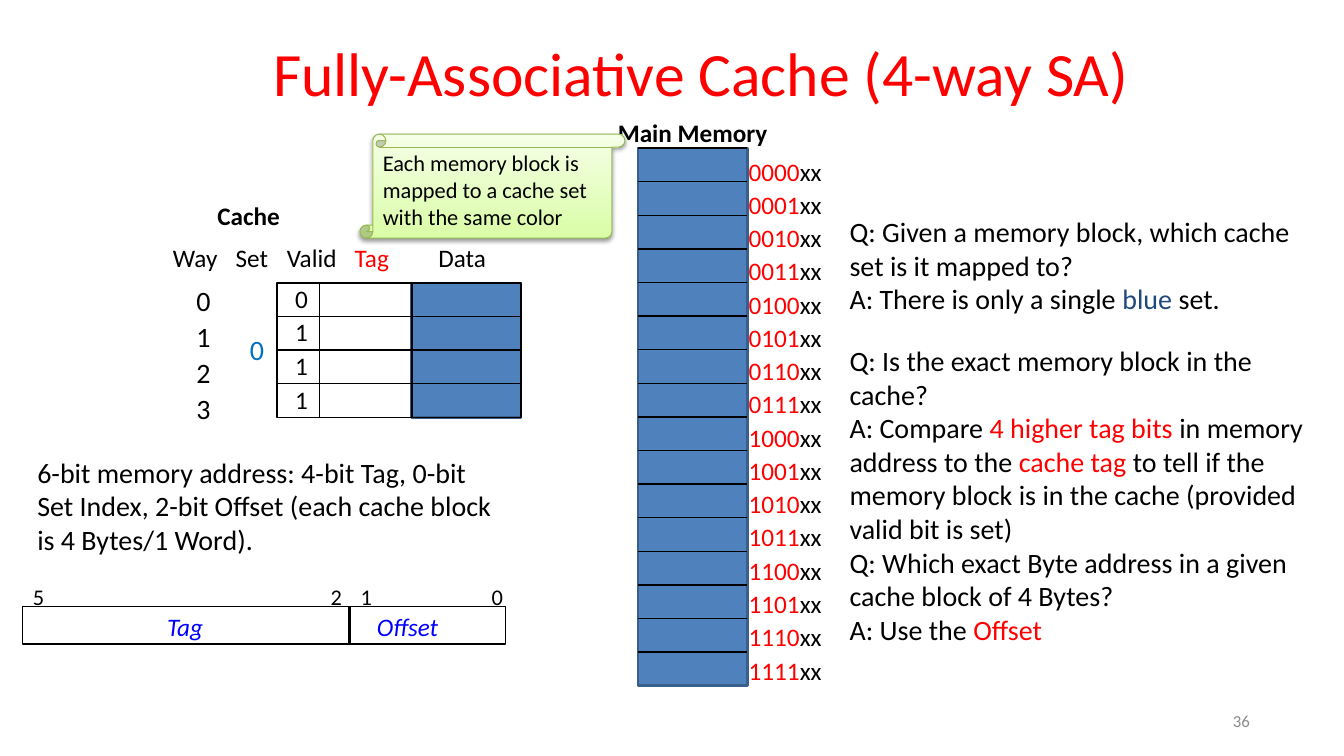
"""Build the fully-associative cache slide."""
from dataclasses import dataclass
from lxml.etree import SubElement
from pptx import Presentation
from pptx.dml.color import RGBColor
from pptx.enum.shapes import MSO_CONNECTOR, MSO_SHAPE
from pptx.enum.text import MSO_ANCHOR, MSO_AUTO_SIZE, PP_ALIGN
from pptx.oxml.ns import qn
from pptx.util import Cm, Pt


@dataclass(frozen=True)
class Theme:
    font: str = "Calibri"
    black: str = "000000"
    red: str = "FF0000"
    navy: str = "1F497D"
    sky: str = "0070C0"
    blue: str = "0000FF"
    gray: str = "8C8C8C"
    block: str = "4F81BD"
    block_edge: str = "3A5F8C"
    note_dark: str = "DAFDA7"
    note_light: str = "F5FFE7"
    note_edge: str = "98B955"
    title: int = 44
    body: int = 20
    label: int = 18
    small: int = 16
    number: int = 12


T = Theme()

TITLE = "Fully-Associative Cache (4-way SA)"
NOTE = "Each memory block is mapped to a cache set with the same color"
ADDRESS = [["6-bit memory address: 4-bit Tag, 0-bit Set Index, 2-bit Offset "
            "(each cache block is 4 Bytes/1 Word)."]]
SET_QUESTION = [
    ["Q: Given a memory block, which cache set is it mapped to?"],
    ["A: There is only a single ", ("blue", T.navy), " set."],
]
BLOCK_QUESTIONS = [
    ["Q: Is the exact memory block in the cache?"],
    ["A: Compare ", ("4 higher tag bits ", T.red), "in memory address to the ",
     ("cache tag ", T.red),
     "to tell if the memory block is in the cache (provided valid bit is set)"],
    ["Q: Which exact Byte address in a given cache block of 4 Bytes?"],
    ["A: Use the ", ("Offset", T.red)],
]
PARAGRAPHS = [
    (0.69, 11.35, 12.09, 2.82, ADDRESS),
    (21.16, 5.28, 12.5, 2.82, SET_QUESTION),
    (21.16, 8.53, 12.09, 7.95, BLOCK_QUESTIONS),
]
HEADINGS = [("Main Memory", 15.32, 2.84, 4.32), ("Cache", 5.23, 4.93, 2.11)]
COLUMN_LABELS = [
    ("Way", 4.11, 1.65, T.black), ("Set", 5.69, 1.35, T.black),
    ("Valid", 6.98, 1.78, T.black), ("Tag", 8.69, 1.37, T.red),
    ("Data", 10.8, 1.73, T.black),
]
VALID_BITS = "0111"
BIT_NUMBERS = [("5", 0.58), ("2", 8.08), ("1", 8.84), ("0", 12.14)]
FIELDS = [("Tag", 3.96, 1.42), ("Offset", 9.25, 2.08)]

BLOCKS, WAYS = 16, 4
MEM_X, MEM_Y, MEM_H, DATA_W = 16.08, 3.73, 13.55, 2.75
ROW = MEM_H / BLOCKS
CACHE_X, CACHE_Y = 6.98, 7.13
CACHE_COLUMNS = [1.07, 2.33, DATA_W]
BAR_X, BAR_Y, BAR_W, BAR_H, DIVIDER_X = 0.58, 15.29, 12.17, 0.94, 8.81

prs = Presentation()
prs.slide_width, prs.slide_height = Cm(33.87), Cm(19.05)
s = prs.slides.add_slide(prs.slide_layouts[5])


def style(font, size, color, bold=False, italic=False):
    font.name, font.size = T.font, Pt(size)
    font.bold, font.italic = bold, italic
    font.color.rgb = RGBColor.from_string(color)


def text(x, y, w, h, paragraphs, size, color=T.black, wrap=False, spacing=None,
         **emphasis):
    tf = s.shapes.add_textbox(Cm(x), Cm(y), Cm(w), Cm(h)).text_frame
    tf.word_wrap = wrap
    tf.auto_size = MSO_AUTO_SIZE.SHAPE_TO_FIT_TEXT
    for i, parts in enumerate(paragraphs):
        p = tf.add_paragraph() if i else tf.paragraphs[0]
        p.line_spacing = spacing
        for part in parts:
            words, hue = (part, color) if isinstance(part, str) else part
            r = p.add_run()
            r.text = words
            style(r.font, size, hue, **emphasis)
    return tf


def box(x, y, w, h, width, edge=T.black, fill=None, kind=MSO_SHAPE.RECTANGLE):
    sp = s.shapes.add_shape(kind, Cm(x), Cm(y), Cm(w), Cm(h))
    sp.shadow.inherit = False
    sp.line.color.rgb = RGBColor.from_string(edge)
    sp.line.width = Pt(width)
    if fill:
        sp.fill.solid()
        sp.fill.fore_color.rgb = RGBColor.from_string(fill)
    else:
        sp.fill.background()
    return sp


def line(x1, y1, x2, y2, width=1):
    ln = s.shapes.add_connector(MSO_CONNECTOR.STRAIGHT,
                                Cm(x1), Cm(y1), Cm(x2), Cm(y2))
    ln.line.color.rgb = RGBColor.from_string(T.black)
    ln.line.width = Pt(width)
    SubElement(ln._element.spPr, qn("a:effectLst"))


def row_lines(x, y, w, rows):
    for i in rows:
        line(x, y + i * ROW, x + w, y + i * ROW)


def add_title():
    sp = s.shapes.title
    sp.left, sp.top, sp.width, sp.height = Cm(5.51), Cm(0.76), Cm(24.33), Cm(2.41)
    tf = sp.text_frame
    tf.text = TITLE
    tf.vertical_anchor = MSO_ANCHOR.MIDDLE
    p = tf.paragraphs[0]
    p.alignment, p.line_spacing = PP_ALIGN.CENTER, 0.85
    style(p.runs[0].font, T.title, T.red)


def add_memory():
    box(MEM_X, MEM_Y, DATA_W, MEM_H, 2, T.block_edge, T.block)
    row_lines(MEM_X, MEM_Y, DATA_W, range(BLOCKS))
    addresses = [[(f"{i:04b}", T.red), "xx"] for i in range(BLOCKS)]
    text(18.62, MEM_Y, 2.74, 13.79, addresses, T.label, wrap=True, spacing=1.1)


def add_cache():
    x, h = CACHE_X, WAYS * ROW
    box(CACHE_X + sum(CACHE_COLUMNS[:2]), CACHE_Y, DATA_W, h, 2,
        T.block_edge, T.block)
    for w in CACHE_COLUMNS:
        box(x, CACHE_Y, w, h, 1)
        row_lines(x, CACHE_Y, w, range(1, WAYS))
        x += w
    for name, left, w, color in COLUMN_LABELS:
        text(left, 5.97, w, 1.02, [[name]], T.label, color)
    for way, bit in enumerate(VALID_BITS):
        text(4.7, 7.01 + way * 0.91, 0.86, 1.12, [[str(way)]], T.body)
        text(7.19, 7.01 + way * ROW, 0.84, 1.02, [[bit]], T.label)
    text(6.05, 8.26, 0.86, 1.12, [["0"]], T.body, T.sky)


def add_address_bar():
    box(BAR_X, BAR_Y, BAR_W, BAR_H, 0.75)
    line(DIVIDER_X, BAR_Y, DIVIDER_X, BAR_Y + BAR_H, 2)
    for bit, x in BIT_NUMBERS:
        text(x, 14.56, 0.81, 0.94, [[bit]], T.small)
    for name, x, w in FIELDS:
        text(x, 15.27, w, 1.02, [[name]], T.label, T.blue, italic=True)


def add_note():
    sp = box(9.07, 3.38, 6.68, 2.62, 0.75, T.note_edge,
             kind=MSO_SHAPE.VERTICAL_SCROLL)
    sp.fill.gradient()
    sp.fill.gradient_angle = 90
    for stop, color in zip(sp.fill.gradient_stops, (T.note_dark, T.note_light)):
        stop.color.rgb = RGBColor.from_string(color)
    effects = sp._element.spPr.find(qn("a:effectLst"))
    shadow = SubElement(effects, qn("a:outerShdw"), blurRad=str(Pt(3.1)),
                        dist=str(Pt(1.6)), dir="5400000", rotWithShape="0")
    hue = SubElement(shadow, qn("a:srgbClr"), val=T.black)
    SubElement(hue, qn("a:alpha"), val="38000")
    tf = sp.text_frame
    tf.text = NOTE
    tf.word_wrap, tf.vertical_anchor = True, MSO_ANCHOR.MIDDLE
    p = tf.paragraphs[0]
    p.alignment = PP_ALIGN.LEFT
    style(p.runs[0].font, T.small, T.black)


def main():
    add_title()
    add_memory()
    for name, x, y, w in HEADINGS:
        text(x, y, w, 1.02, [[name]], T.label, bold=True)
    for x, y, w, h, paragraphs in PARAGRAPHS:
        text(x, y, w, h, paragraphs, T.body, wrap=True)
    add_cache()
    add_address_bar()
    add_note()
    tf = text(25.83, 17.65, 5.92, 1.02, [["36"]], T.number, T.gray, wrap=True)
    tf.auto_size, tf.vertical_anchor = MSO_AUTO_SIZE.NONE, MSO_ANCHOR.MIDDLE
    tf.paragraphs[0].alignment = PP_ALIGN.RIGHT
    prs.save("out.pptx")


if __name__ == "__main__":
    main()
